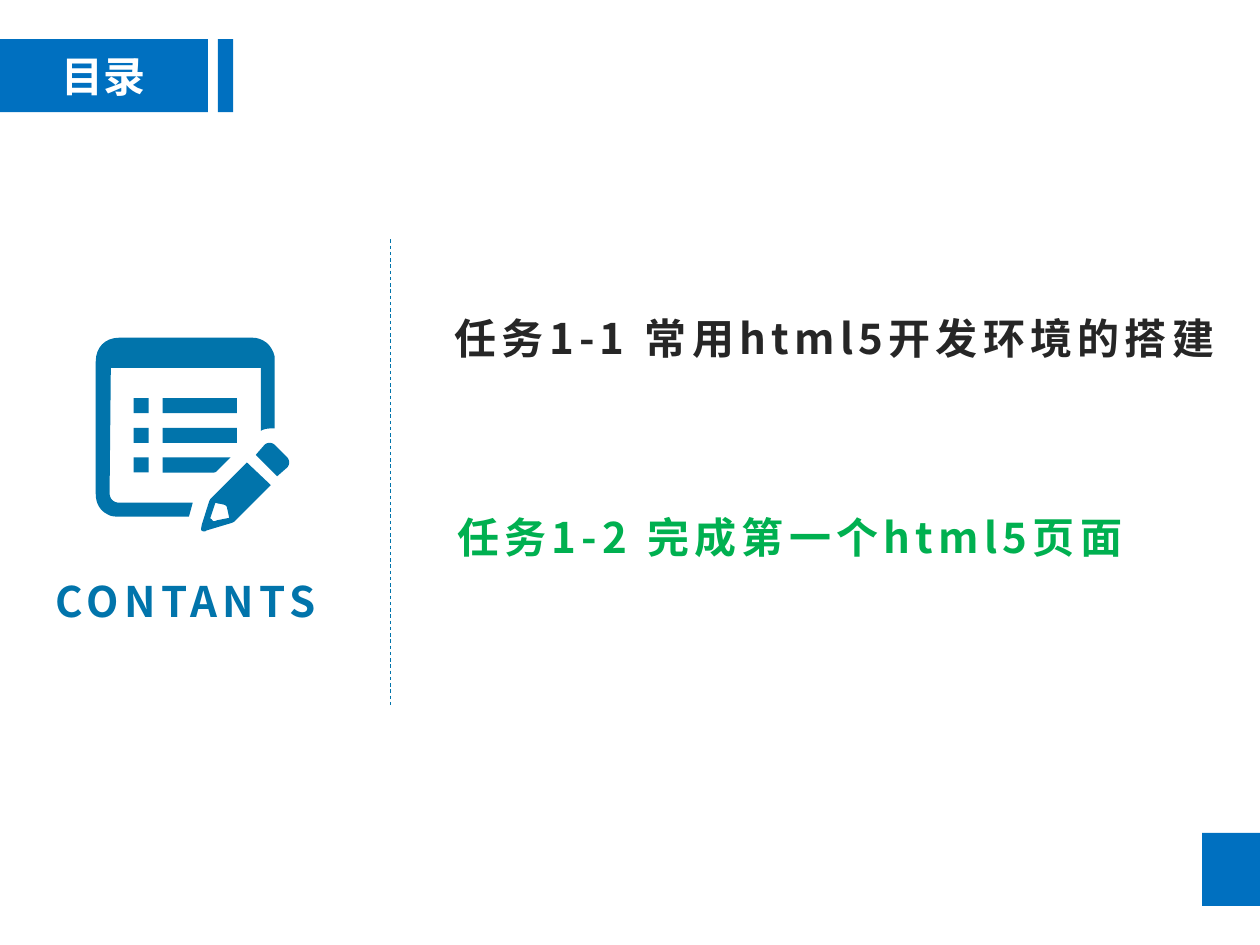
from lxml import etree
from pptx import Presentation, util as u
from pptx.dml.color import RGBColor
from pptx.enum import dml, shapes, text
from pptx.oxml import ns

# Content
COLORS = {"bar": "0070C0", "icon": "0174AB", "white": "FFFFFF",
          "dark": "262626", "green": "00B050"}
TITLE = "目录"
FONT = "Noto Sans CJK SC"
LABELS = [  # text, left, top, width, colour, alignment
    ("任务1-1 常用html5开发环境的搭建", 3.51, 2.43, 6.41, "dark", None),
    ("任务1-2 完成第一个html5页面", 3.53, 4.01, 5.73, "green", None),
    ("CONTANTS", 0.25, 4.52, 2.45, "icon", text.PP_ALIGN.CENTER),
]

# Icon outlines: two numbers make a straight side, six a Bezier curve
WINDOW = [(1.53, 3.99), (1.5, 4.1), (0.95, 4.1),
          (0.91, 4.1, 0.88, 4.1, 0.85, 4.08), (0.79, 4.05, 0.76, 3.99, 0.76, 3.92),
          (0.76, 2.87), (0.76, 2.76, 0.83, 2.68, 0.95, 2.68), (2, 2.68),
          (2.09, 2.68, 2.16, 2.74, 2.18, 2.83), (2.18, 3.4),
          (2.14, 3.4, 2.1, 3.4, 2.07, 3.42), (2.07, 2.92), (0.88, 2.92),
          (0.87, 3.91), (0.87, 3.96, 0.9, 3.99, 0.95, 3.99)]
PENCIL = [(1.96, 3.67), (2.15, 3.85), (1.86, 4.14), (1.84, 4.15), (1.64, 4.21),
          (1.63, 4.22, 1.61, 4.22, 1.6, 4.21), (1.59, 4.2, 1.6, 4.19, 1.6, 4.17),
          (1.66, 3.98), (1.67, 3.96)]
PENCIL_TIP = [(1.71, 3.99), (1.67, 4.11), (1.67, 4.11, 1.67, 4.12, 1.68, 4.12),
              (1.69, 4.14, 1.7, 4.14, 1.72, 4.13), (1.82, 4.11), (1.8, 4.02),
              (1.79, 4.01), (1.77, 4, 1.74, 4, 1.71, 3.99)]
ERASER = [(2.03, 3.61), (2.1, 3.53), (2.12, 3.51, 2.16, 3.51, 2.18, 3.53),
          (2.28, 3.63), (2.3, 3.65, 2.3, 3.69, 2.28, 3.71), (2.2, 3.78)]
CUT_LINE = [(1.29, 3.63), (1.83, 3.63), (1.72, 3.74),
            (1.72, 3.74, 1.71, 3.75, 1.7, 3.75), (1.29, 3.75)]
ROW_TOP, ROW_STEP, ROW_H = 3.16, 0.235, 0.12
BULLET_X, LINE_X, LINE_W = 1.06, 1.29, 0.59


def rgb(name):
    return RGBColor.from_string(COLORS[name])


def paint(sp, color):
    sp.shadow.inherit = False
    sp.fill.solid()
    sp.fill.fore_color.rgb = rgb(color)
    sp.line.fill.background()
    return sp


def rect(parent, x, y, w, h, color):
    sp = parent.add_shape(shapes.MSO_SHAPE.RECTANGLE, *map(u.Inches, (x, y, w, h)))
    return paint(sp, color)


def flatten(outline, steps=8):
    """Return the outline's points in EMU, with curves sampled."""
    points = []
    for seg in outline:
        if len(seg) == 2:
            points.append(seg)
            continue
        ctrl = [points[-1], seg[:2], seg[2:4], seg[4:]]
        for i in range(1, steps + 1):
            t = i / steps
            weights = ((1 - t) ** 3, 3 * t * (1 - t) ** 2, 3 * t * t * (1 - t), t ** 3)
            points.append(tuple(sum(k * c[axis] for k, c in zip(weights, ctrl))
                                for axis in (0, 1)))
    return [(u.Inches(x), u.Inches(y)) for x, y in points]


def freeform(parent, *outlines):
    first, *holes = map(flatten, outlines)
    builder = parent.build_freeform(*first[0])
    builder.add_line_segments(first[1:], close=True)
    for hole in holes:
        builder.move_to(*hole[0])
        builder.add_line_segments(hole[1:], close=True)
    paint(builder.convert_to_shape(), "icon")


def style(p, font, color, spacing=None):
    r = p.runs[0]
    r.font.name, r.font.size, r.font.bold = font, u.Pt(24), True
    r.font.color.rgb = rgb(color)
    props = r._r.get_or_add_rPr()
    etree.SubElement(props, ns.qn("a:ea")).set("typeface", font)
    if spacing:
        props.set("spc", str(spacing * 100))


prs = Presentation()
prs.slide_width, prs.slide_height = u.Inches(10), u.Inches(7.5)
s = prs.slides.add_slide(prs.slide_layouts[6])

# Title bar and corner block
bar = s.shapes.add_group_shape().shapes
sp = rect(bar, 0, 0.31, 1.65, 0.58, "bar")
tf = sp.text_frame
tf.text = TITLE
tf.vertical_anchor = text.MSO_ANCHOR.MIDDLE
tf.paragraphs[0].alignment = text.PP_ALIGN.CENTER
style(tf.paragraphs[0], "Arial", "white")
rect(bar, 1.73, 0.31, 0.12, 0.58, "bar")
rect(s.shapes, 9.54, 6.61, 0.46, 0.58, "bar")

# Dashed divider
divider = s.shapes.add_connector(shapes.MSO_CONNECTOR.STRAIGHT,
                                 *map(u.Inches, (3.1, 1.9, 3.1, 5.6)))
divider.line.color.rgb = rgb("icon")
divider.line.width = u.Pt(0.5)
divider.line.dash_style = dml.MSO_LINE.DASH
etree.SubElement(divider._element.spPr, ns.qn("a:effectLst"))

# Notepad icon
icon = s.shapes.add_group_shape().shapes
freeform(icon, WINDOW)
freeform(icon, PENCIL, PENCIL_TIP)
freeform(icon, ERASER)
for row in range(3):
    y = ROW_TOP + row * ROW_STEP
    rect(icon, BULLET_X, y, ROW_H, ROW_H, "icon")
    if row < 2:
        rect(icon, LINE_X, y, LINE_W, ROW_H, "icon")
freeform(icon, CUT_LINE)

# Task names and icon caption
for label, x, y, w, color, align in LABELS:
    tf = s.shapes.add_textbox(*map(u.Inches, (x, y, w, 0.5))).text_frame
    tf.word_wrap = True
    tf.auto_size = text.MSO_AUTO_SIZE.SHAPE_TO_FIT_TEXT
    tf.text = label
    tf.paragraphs[0].alignment = align
    style(tf.paragraphs[0], FONT, color, 3)

prs.save("out.pptx")
